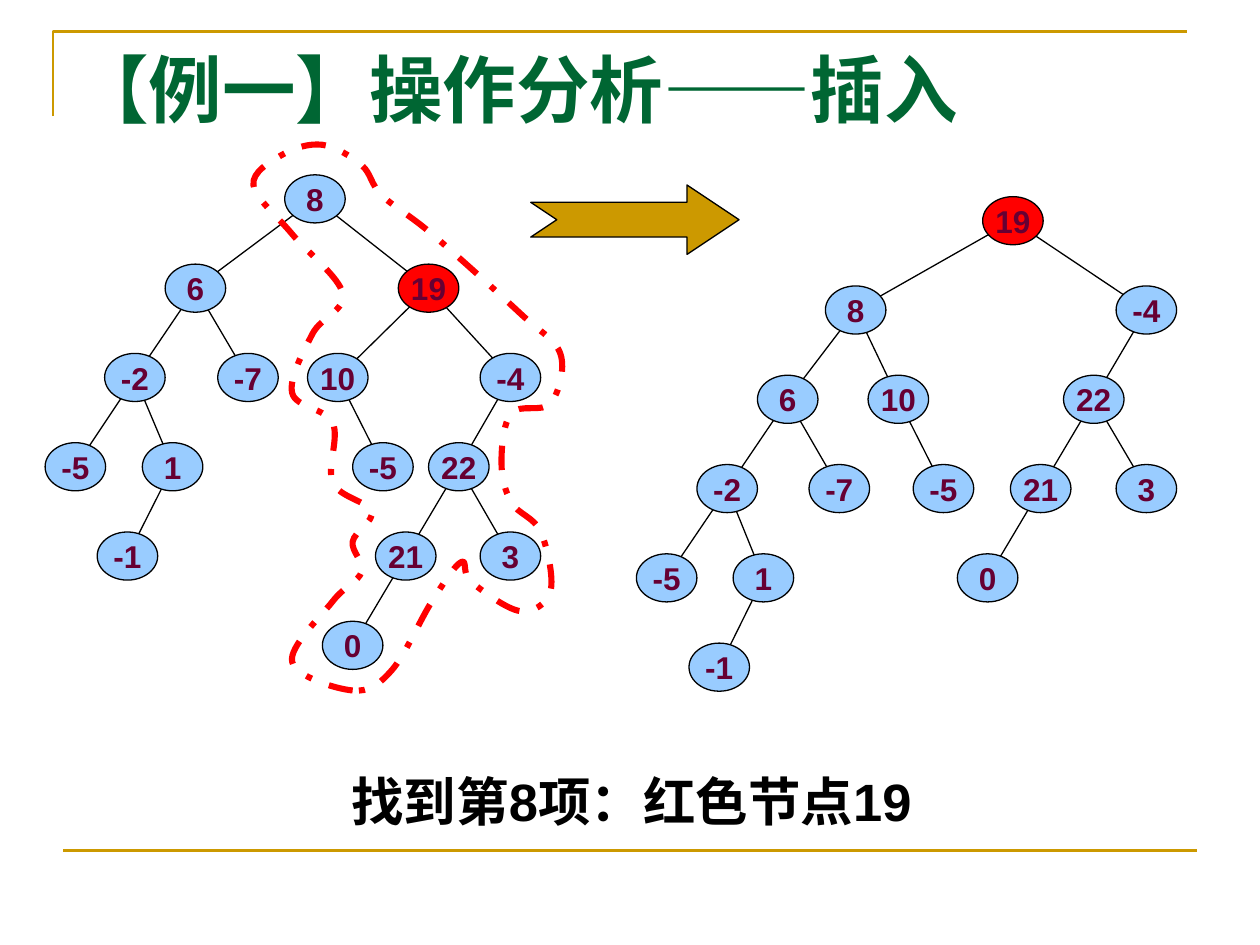
"""Build the slide that shows a tree before and after an insertion."""
from dataclasses import dataclass
from typing import Any, Optional

from lxml.etree import SubElement
from pptx import Presentation
from pptx.dml.color import RGBColor
from pptx.enum.dml import MSO_LINE
from pptx.enum.shapes import MSO_CONNECTOR, MSO_SHAPE
from pptx.enum.text import MSO_ANCHOR, PP_ALIGN
from pptx.oxml.ns import qn
from pptx.util import Cm, Pt

GOLD, BLACK, RED, BLUE = "CC9900", "000000", "FF0000", "99CCFF"
PLUM, GREEN = "660033", "006633"
NODE_WIDTH, NODE_HEIGHT, LEVEL_GAP = 1.22, 0.97, 1.8


@dataclass
class Node:
    label: str
    center_x: float
    level: int
    parent: Optional[int] = None


@dataclass
class Tree:
    root_y: float
    nodes: list[Node]

    def center(self, node: Node) -> tuple[Cm, Cm]:
        return Cm(node.center_x), Cm(self.root_y + node.level * LEVEL_GAP)


BEFORE = Tree(4.01, [
    Node("8", 6.35, 0), Node("6", 3.94, 1, 0), Node("19", 8.64, 1, 0),
    Node("-2", 2.72, 2, 1), Node("-7", 5, 2, 1),
    Node("10", 6.81, 2, 2), Node("-4", 10.29, 2, 2),
    Node("-5", 1.52, 3, 3), Node("1", 3.48, 3, 3),
    Node("-5", 7.72, 3, 5), Node("22", 9.25, 3, 6),
    Node("-1", 2.57, 4, 8), Node("21", 8.18, 4, 10),
    Node("3", 10.29, 4, 10), Node("0", 7.11, 5, 12),
])
AFTER = Tree(4.45, [
    Node("19", 20.42, 0), Node("8", 17.25, 1, 0), Node("-4", 23.11, 1, 0),
    Node("6", 15.88, 2, 1), Node("10", 18.11, 2, 1), Node("22", 22.05, 2, 2),
    Node("-2", 14.66, 3, 3), Node("-7", 16.92, 3, 3), Node("-5", 19.02, 3, 4),
    Node("21", 20.98, 3, 5), Node("3", 23.11, 3, 5),
    Node("-5", 13.44, 4, 6), Node("1", 15.39, 4, 6), Node("0", 19.91, 4, 9),
    Node("-1", 14.5, 5, 12),
])
FRAME_CORNER = [(1.07, 2.34), (1.07, 0.64), (23.93, 0.64)]
SUBTREE_OUTLINE = [
    (7.11, 13.92), (5.89, 13.34), (6.71, 12.12), (7.29, 11.53), (7.11, 10.92),
    (7.49, 10.31), (6.71, 9.73), (6.71, 8.53), (5.89, 7.92), (6.3, 6.73),
    (6.91, 5.92), (5.89, 4.72), (5.11, 3.73), (5.69, 3.12), (6.5, 2.92),
    (7.29, 3.33), (7.7, 3.94), (8.71, 4.72), (10.49, 6.32), (11.3, 7.14),
    (11.1, 8.13), (10.31, 8.33), (10.11, 9.32), (10.31, 10.13), (10.9, 10.72),
    (11.1, 11.91), (10.49, 12.32), (9.5, 11.73), (9.3, 11.33), (8.71, 12.12),
    (7.9, 13.51),
]


def color(value: str) -> RGBColor:
    """Turn a hex string into a colour."""
    return RGBColor.from_string(value)


def apply_format(target: Any, values: dict[str, Any]) -> None:
    """Set each named attribute on the target."""
    for name, value in values.items():
        setattr(target, name, value)


def style_line(line: Any, line_color: str, width: float) -> None:
    """Give a line its colour and width in points."""
    line.color.rgb = color(line_color)
    line.width = Pt(width)


def style_shape(shape: Any, fill: Optional[str], line_color: str, width: float) -> None:
    """Give a shape its fill and line, without a shadow."""
    shape.shadow.inherit = False
    if fill:
        shape.fill.solid()
        shape.fill.fore_color.rgb = color(fill)
    else:
        shape.fill.background()
    style_line(shape.line, line_color, width)


def write_text(shape: Any, text: str, text_color: str, frame_values: dict[str, Any],
               paragraph_values: dict[str, Any], font_values: dict[str, Any]) -> None:
    """Write one formatted bold paragraph into a shape."""
    frame = shape.text_frame
    apply_format(frame, frame_values)
    paragraph = frame.paragraphs[0]
    apply_format(paragraph, paragraph_values)
    run = paragraph.add_run()
    run.text = text
    apply_format(run.font, {"bold": True, **font_values})
    run.font.color.rgb = color(text_color)


def add_line(shapes: Any, start: tuple, end: tuple, line_color: str, width: float) -> None:
    """Draw a straight line between two points."""
    connector = shapes.add_connector(MSO_CONNECTOR.STRAIGHT, *start, *end)
    style_line(connector.line, line_color, width)
    SubElement(connector._element.spPr, qn("a:effectLst"))


def add_tree(slide: Any, tree: Tree) -> None:
    """Draw the edges of a tree and then its nodes as one group."""
    shapes = slide.shapes.add_group_shape().shapes
    for node in tree.nodes:
        if node.parent is not None:
            parent = tree.nodes[node.parent]
            add_line(shapes, tree.center(parent), tree.center(node), BLACK, 0.75)
    width, height = Cm(NODE_WIDTH), Cm(NODE_HEIGHT)
    for node in tree.nodes:
        x, y = tree.center(node)
        shape = shapes.add_shape(MSO_SHAPE.OVAL, x - width // 2, y - height // 2, width, height)
        style_shape(shape, RED if node.label == "19" else BLUE, BLACK, 0.75)
        write_text(shape, node.label, PLUM,
                   {"word_wrap": False, "vertical_anchor": MSO_ANCHOR.MIDDLE},
                   {"alignment": PP_ALIGN.CENTER}, {"name": "Arial", "size": Pt(18)})


def add_freeform(slide: Any, points: list, line_color: str, width: float, close: bool) -> Any:
    """Draw an unfilled outline through points given in centimetres."""
    start, *others = [(Cm(x), Cm(y)) for x, y in points]
    builder = slide.shapes.build_freeform(*start)
    builder.add_line_segments(others + [start] if close else others, close=close)
    shape = builder.convert_to_shape()
    style_shape(shape, None, line_color, width)
    return shape


def smooth_outline(shape: Any) -> None:
    """Turn the segments of a closed freeform into a smooth curve."""
    segments = shape._element.xpath(".//a:lnTo")
    anchors = [(int(segment[0].get("x")), int(segment[0].get("y"))) for segment in segments]
    count = len(anchors)
    for index, segment in enumerate(segments):
        before, start, end, after = (anchors[(index + step) % count] for step in (-2, -1, 0, 1))
        leaving = [s + (e - b) // 6 for b, s, e in zip(before, start, end)]
        arriving = [e - (a - s) // 6 for s, e, a in zip(start, end, after)]
        segment.tag = qn("a:cubicBezTo")
        segment.remove(segment[0])
        for x, y in (leaving, arriving, end):
            SubElement(segment, qn("a:pt"), x=str(x), y=str(y))


def add_text(slide: Any, box: tuple, text: str, text_color: str,
             paragraph_values: dict[str, Any], font_values: dict[str, Any]) -> None:
    """Add a wrapping text box placed in centimetres."""
    shape = slide.shapes.add_textbox(*map(Cm, box))
    write_text(shape, text, text_color, {"word_wrap": True}, paragraph_values, font_values)


def main() -> None:
    """Build and save the slide."""
    presentation = Presentation()
    apply_format(presentation, {"slide_width": Cm(25.4), "slide_height": Cm(19.05)})
    slide = presentation.slides.add_slide(presentation.slide_layouts[6])

    add_freeform(slide, FRAME_CORNER, GOLD, 1.5, close=False)
    add_line(slide.shapes, (Cm(1.27), Cm(17.15)), (Cm(24.13), Cm(17.15)), GOLD, 1.5)
    add_tree(slide, BEFORE)

    arrow = slide.shapes.add_shape(MSO_SHAPE.NOTCHED_RIGHT_ARROW,
                                   Cm(10.7), Cm(3.73), Cm(4.2), Cm(1.4))
    arrow.adjustments[1] = 0.75
    style_shape(arrow, GOLD, BLACK, 0.75)

    outline = add_freeform(slide, SUBTREE_OUTLINE, RED, 3.5, close=True)
    outline.line.dash_style = MSO_LINE.DASH_DOT
    smooth_outline(outline)
    add_tree(slide, AFTER)

    add_text(slide, (1.3, 15.52, 22.86, 1.5), "找到第8项：红色节点19", BLACK,
             {"alignment": PP_ALIGN.CENTER, "line_spacing": 0.9, "space_before": Pt(7.5)},
             {"name": "Arial", "size": Pt(30)})
    add_text(slide, (1.27, 0.76, 22.86, 3.18), "【例一】操作分析——插入", GREEN,
             {"alignment": PP_ALIGN.LEFT}, {"name": "Times New Roman", "size": Pt(42)})
    presentation.save("out.pptx")


if __name__ == "__main__":
    main()
